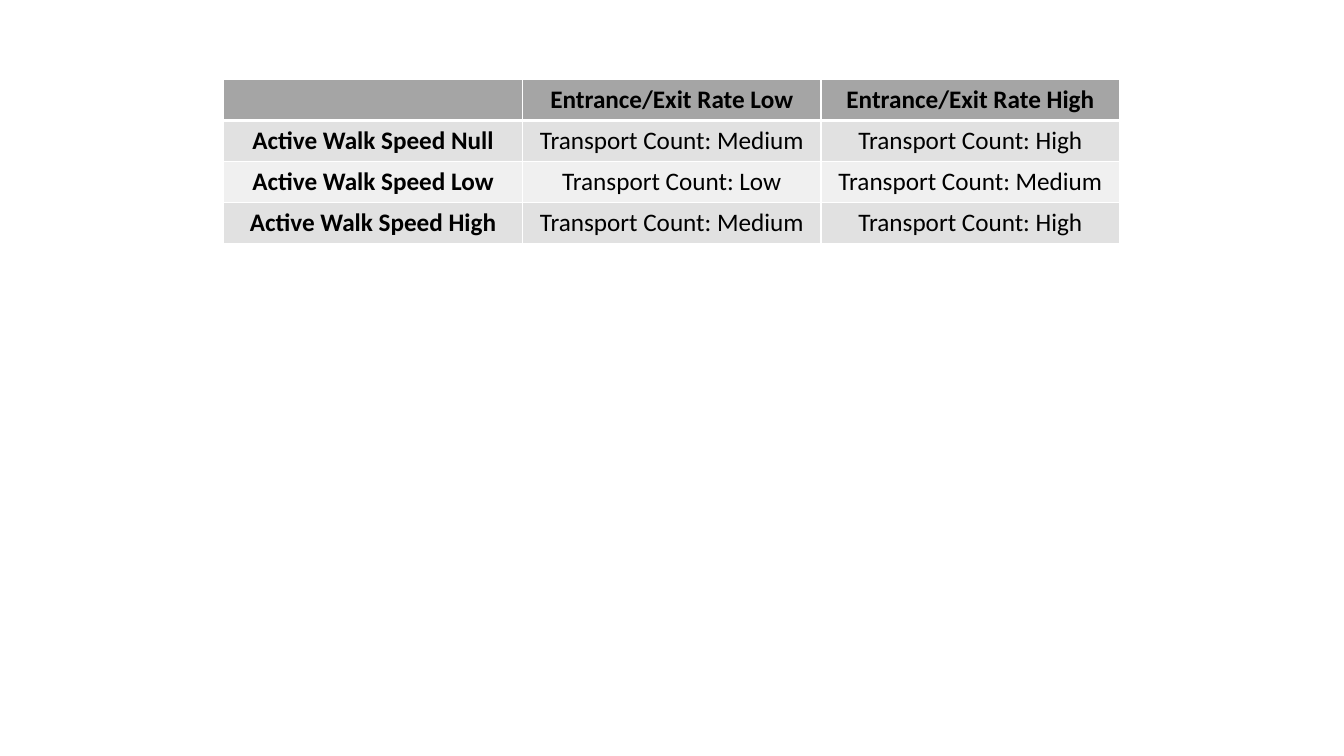
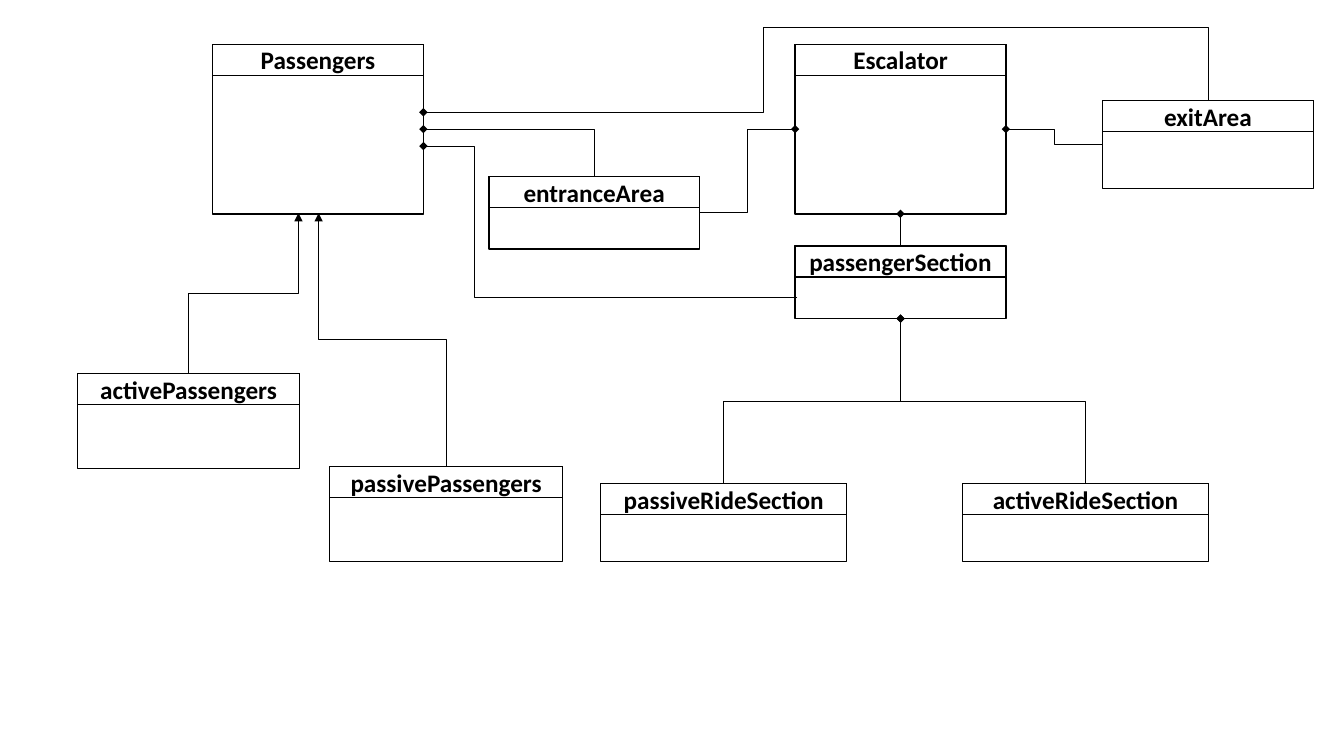
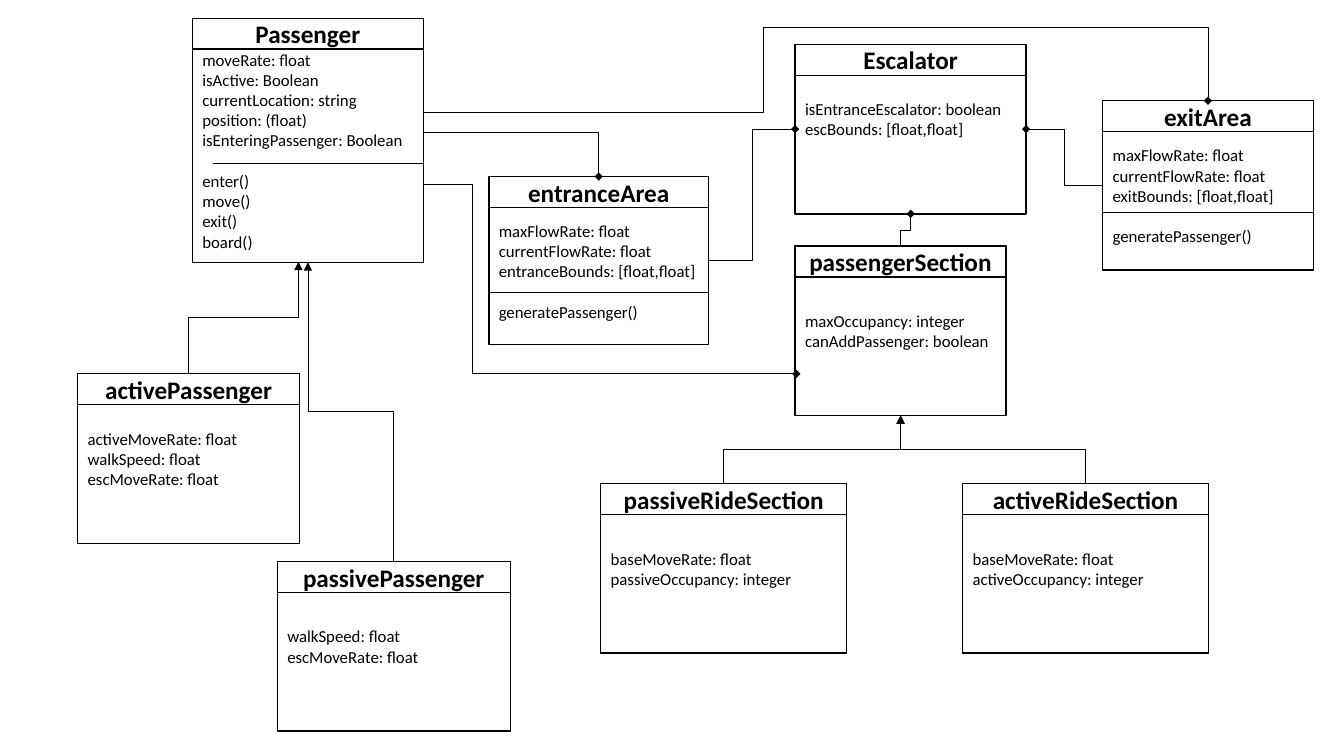
import pptx
import pptx.dml.color
import pptx.enum.shapes
import pptx.enum.text
import pptx.oxml
import pptx.oxml.ns
import pptx.util
from lxml import etree

Cm = pptx.util.Cm
Pt = pptx.util.Pt
qn = pptx.oxml.ns.qn

COLORS = {
    "ink": "000000",
    "white": "FFFFFF",
    "header": "A5A5A5",
    "band_dark": "E1E1E1",
    "band_light": "F0F0F0",
}
FONT = "Calibri"
TITLE_SIZE = 18
BODY_SIZE = 12
LINE_PT = 14.65  # height of one line of body text
TITLE_HEIGHT = 0.78
INSET = 0.13

# Connection sites of a rectangle
TOP, LEFT, BOTTOM, RIGHT = range(4)

TABLE_ROWS = [
    ["", "Entrance/Exit Rate Low", "Entrance/Exit Rate High"],
    ["Active Walk Speed Null", "Transport Count: Medium", "Transport Count: High"],
    ["Active Walk Speed Low", "Transport Count: Low", "Transport Count: Medium"],
    ["Active Walk Speed High", "Transport Count: Medium", "Transport Count: High"],
]

# Class name: left, top, width, height in cm
OVERVIEW_CLASSES = {
    "Escalator": (20.04, 1.12, 5.31, 4.27),
    "entranceArea": (12.32, 4.45, 5.31, 1.83),
    "exitArea": (27.79, 2.54, 5.31, 2.21),
    "passengerSection": (20.04, 6.2, 5.31, 1.83),
    "passiveRideSection": (15.14, 12.19, 6.2, 1.96),
    "activeRideSection": (24.26, 12.19, 6.2, 1.96),
    "Passengers": (5.36, 1.12, 5.31, 4.27),
    "activePassengers": (1.96, 9.42, 5.59, 2.39),
    "passivePassengers": (8.31, 11.76, 5.87, 2.39),
}
DETAIL_CLASSES = {
    "Escalator": (20.04, 1.12, 5.82, 4.27),
    "entranceArea": (12.32, 4.45, 5.54, 4.24),
    "exitArea": (27.79, 2.54, 5.31, 4.27),
    "passengerSection": (20.04, 6.2, 5.31, 4.27),
    "passiveRideSection": (15.14, 12.19, 6.2, 4.27),
    "activeRideSection": (24.26, 12.19, 6.2, 4.27),
    "Passenger": (4.85, 0.46, 5.82, 6.15),
    "activePassenger": (1.96, 9.42, 5.59, 4.27),
    "passivePassenger": (6.99, 14.15, 5.87, 4.27),
}

# Class name: attributes, methods, lines by which the text sits below the middle
MEMBERS = {
    "Escalator": (["isEntranceEscalator: boolean", "escBounds: [float,float]"], [], -1),
    "entranceArea": (
        ["maxFlowRate: float", "currentFlowRate: float", "entranceBounds: [float,float]"],
        ["generatePassenger()"], 1),
    "exitArea": (
        ["maxFlowRate: float", "currentFlowRate: float", "exitBounds: [float,float]"],
        ["generatePassenger()"], 1),
    "passengerSection": (["maxOccupancy: integer", "canAddPassenger: boolean"], [], 0),
    "passiveRideSection": (["baseMoveRate: float", "passiveOccupancy: integer"], [], 0),
    "activeRideSection": (["baseMoveRate: float", "activeOccupancy: integer"], [], 0),
    "Passenger": (
        ["moveRate: float", "isActive: Boolean", "currentLocation: string",
         "position: (float)", "isEnteringPassenger: Boolean"],
        ["enter()", "move()", "exit()", "board()"], 1),
    "activePassenger": (
        ["activeMoveRate: float", "walkSpeed: float", "escMoveRate: float"], [], 0),
    "passivePassenger": (["walkSpeed: float", "escMoveRate: float"], [], 0),
}

# Lines between attributes and methods: left, right, height on the slide
SEPARATORS = [(5.36, 10.67, 4.11), (12.32, 17.86, 7.37), (27.79, 33.1, 5.36)]

# Links: start, end, arrowhead at start, arrowhead at end, positions of the bends.
# An end is a class with a site, or a point in cm. None bends half way.
OVERVIEW_LINKS = [
    (("activePassengers", TOP), (7.52, 5.37), None, "triangle", None),
    (("passivePassengers", TOP), (8.03, 5.37), None, "triangle", None),
    (("entranceArea", TOP), ("Passengers", RIGHT), None, "diamond", ()),
    (("exitArea", TOP), (10.67, 2.83), None, "diamond", (0.69, 19.23)),
    (("Escalator", RIGHT), ("exitArea", LEFT), "diamond", None, None),
    (("passengerSection", TOP), ("Escalator", BOTTOM), None, "diamond", None),
    (("entranceArea", RIGHT), ("Escalator", LEFT), None, "diamond", None),
    ((20.09, 7.49), (10.67, 3.68), None, "diamond", (11.94,)),
    (("passiveRideSection", TOP), ("passengerSection", BOTTOM), None, "diamond", None),
    (("activeRideSection", TOP), ("passengerSection", BOTTOM), None, "diamond", None),
]
DETAIL_LINKS = [
    (("activePassenger", TOP), (7.52, 6.6), None, "triangle", None),
    (("passivePassenger", TOP), ("Passenger", BOTTOM), None, "triangle", None),
    (("entranceArea", TOP), (10.67, 3.33), "diamond", None, ()),
    (("exitArea", TOP), (10.67, 2.83), "diamond", None, (0.69, 19.23)),
    (("Escalator", RIGHT), ("exitArea", LEFT), "diamond", None, None),
    (("passengerSection", TOP), ("Escalator", BOTTOM), None, "diamond", None),
    (("entranceArea", RIGHT), ("Escalator", LEFT), None, "diamond", None),
    ((20.07, 9.42), (10.67, 4.65), "diamond", None, (11.89,)),
    (("passiveRideSection", TOP), ("passengerSection", BOTTOM), None, "triangle", None),
    (("activeRideSection", TOP), ("passengerSection", BOTTOM), None, "triangle", None),
]


def rgb(name):
    return pptx.dml.color.RGBColor.from_string(COLORS[name])


def format_paragraph(paragraph, size, bold=False, centered=False):
    align = pptx.enum.text.PP_ALIGN
    paragraph.alignment = align.CENTER if centered else align.LEFT
    for run in paragraph.runs:
        run.font.name = FONT
        run.font.size = Pt(size)
        run.font.bold = bold
        run.font.color.rgb = rgb("ink")


# Table
def set_cell_borders(cell, top, bottom):
    properties = cell._tc.get_or_add_tcPr()
    widths = {"lnL": 1, "lnR": 1, "lnT": top, "lnB": bottom}
    for position, (tag, width) in enumerate(widths.items()):
        border = etree.Element(qn("a:" + tag), w=str(Pt(width)))
        fill = etree.SubElement(border, qn("a:solidFill"))
        etree.SubElement(fill, qn("a:srgbClr"), val=COLORS["white"])
        properties.insert(position, border)


def add_count_table(slide, rows, left, top, width, row_height):
    frame = slide.shapes.add_table(len(rows), len(rows[0]), Cm(left), Cm(top),
                                   Cm(width), Cm(row_height * len(rows)))
    for row_index, row in enumerate(rows):
        band = "band_dark" if row_index % 2 else "band_light"
        for column_index, text in enumerate(row):
            cell = frame.table.cell(row_index, column_index)
            cell.text_frame.text = text
            format_paragraph(cell.text_frame.paragraphs[0], TITLE_SIZE,
                             bold=row_index == 0 or column_index == 0, centered=True)
            cell.fill.solid()
            cell.fill.fore_color.rgb = rgb("header" if row_index == 0 else band)
            set_cell_borders(cell, top=3 if row_index == 1 else 1,
                             bottom=3 if row_index == 0 else 1)


# Class boxes
def add_box(slide, left, top, width, height):
    shape = slide.shapes.add_shape(pptx.enum.shapes.MSO_SHAPE.RECTANGLE,
                                   Cm(left), Cm(top), Cm(width), Cm(height))
    shape.shadow.inherit = False
    shape.fill.background()
    shape.line.color.rgb = rgb("ink")
    shape.line.width = Pt(1)
    shape.text_frame.word_wrap = True
    shape.text_frame.vertical_anchor = pptx.enum.text.MSO_ANCHOR.MIDDLE
    return shape


def write_members(body, attributes, methods, shift):
    text_frame = body.text_frame
    text_frame.text = "\n".join(attributes + methods)
    text_frame.margin_top = Cm(INSET) + Pt(LINE_PT) * max(shift, 0)
    text_frame.margin_bottom = Cm(INSET) + Pt(LINE_PT) * max(-shift, 0)
    for paragraph in text_frame.paragraphs:
        format_paragraph(paragraph, BODY_SIZE)
    if methods:
        text_frame.paragraphs[len(attributes)].space_before = Pt(LINE_PT)


def add_class(slide, name, left, top, width, height):
    body = add_box(slide, left, top, width, height)
    title = add_box(slide, left, top, width, TITLE_HEIGHT)
    title.text_frame.margin_top = title.text_frame.margin_bottom = 0
    title.text_frame.text = name
    format_paragraph(title.text_frame.paragraphs[0], TITLE_SIZE, bold=True, centered=True)
    return body


# Lines and links
def style_connector(connector, head=None, tail=None):
    connector.line.color.rgb = rgb("ink")
    connector.line.width = Pt(0.5)
    properties = connector._element.spPr
    line = properties.find(qn("a:ln"))
    for tag, kind in (("a:headEnd", head), ("a:tailEnd", tail)):
        if kind:
            etree.SubElement(line, qn(tag), type=kind)
    etree.SubElement(properties, qn("a:effectLst"))


def add_separator(slide, left, right, height):
    connector = slide.shapes.add_connector(pptx.enum.shapes.MSO_CONNECTOR.STRAIGHT,
                                           Cm(left), Cm(height), Cm(right), Cm(height))
    style_connector(connector)


def locate(bodies, end):
    if end[0] not in bodies:
        return Cm(end[0]), Cm(end[1])
    body, site = bodies[end[0]], end[1]
    x = body.left + {LEFT: 0, RIGHT: body.width}.get(site, body.width // 2)
    y = body.top + {TOP: 0, BOTTOM: body.height}.get(site, body.height // 2)
    return x, y


def place_elbow(connector, start, end, vertical):
    """Turn and flip the connector so that its first leg is vertical or horizontal."""
    (x1, y1), (x2, y2) = start, end
    width, height = abs(x2 - x1), abs(y2 - y1)
    leftward, upward = x2 < x1, y2 < y1
    if vertical:
        width, height = height, width
        turn = 270 if leftward else 90
        flips = {"flipH": upward != leftward, "flipV": True}
    else:
        turn = 180 if leftward else 0
        flips = {"flipH": False, "flipV": upward != leftward}
    connector.left = (x1 + x2 - width) // 2
    connector.top = (y1 + y2 - height) // 2
    connector.width, connector.height = width, height
    transform = connector._element.spPr.find(qn("a:xfrm"))
    transform.set("rot", str(turn * 60000))
    for name, flipped in flips.items():
        transform.set(name, str(int(flipped)))


def set_bends(connector, start, end, vertical, bends):
    geometry = connector._element.spPr.find(qn("a:prstGeom"))
    geometry.set("prst", f"bentConnector{len(bends) + 2}")
    adjustments = geometry.find(qn("a:avLst"))
    for index, bend in enumerate(bends):
        axis = (index + vertical) % 2
        ratio = (Cm(bend) - start[axis]) / (end[axis] - start[axis])
        etree.SubElement(adjustments, qn("a:gd"), name=f"adj{index + 1}",
                         fmla=f"val {round(ratio * 100000)}")


def add_link(slide, bodies, start, end, head, tail, bends):
    start_point, end_point = locate(bodies, start), locate(bodies, end)
    vertical = start[0] in bodies and start[1] in (TOP, BOTTOM)
    connector = slide.shapes.add_connector(pptx.enum.shapes.MSO_CONNECTOR.ELBOW,
                                           *start_point, *end_point)
    if start[0] in bodies:
        connector.begin_connect(bodies[start[0]], start[1])
    if end[0] in bodies:
        connector.end_connect(bodies[end[0]], end[1])
    place_elbow(connector, start_point, end_point, vertical)
    if bends is not None:
        set_bends(connector, start_point, end_point, vertical, bends)
    style_connector(connector, head, tail)


def add_class_diagram(slide, classes, links, members):
    bodies = {}
    for name, place in classes.items():
        bodies[name] = add_class(slide, name, *place)
        if name in members:
            write_members(bodies[name], *members[name])
    for link in links:
        add_link(slide, bodies, *link)


def main():
    presentation = pptx.Presentation()
    presentation.slide_width = Cm(33.87)
    presentation.slide_height = Cm(19.05)
    blank = presentation.slide_layouts[6]
    table_slide, overview_slide, detail_slide = (
        presentation.slides.add_slide(blank) for _ in range(3))

    # Transport counts
    add_count_table(table_slide, TABLE_ROWS, left=5.64, top=2.01, width=22.58, row_height=1.03)

    # Class overview
    add_class_diagram(overview_slide, OVERVIEW_CLASSES, OVERVIEW_LINKS, {})

    # Classes with their members
    add_class_diagram(detail_slide, DETAIL_CLASSES, DETAIL_LINKS, MEMBERS)
    for separator in SEPARATORS:
        add_separator(detail_slide, *separator)

    presentation.save("out.pptx")


if __name__ == "__main__":
    main()
